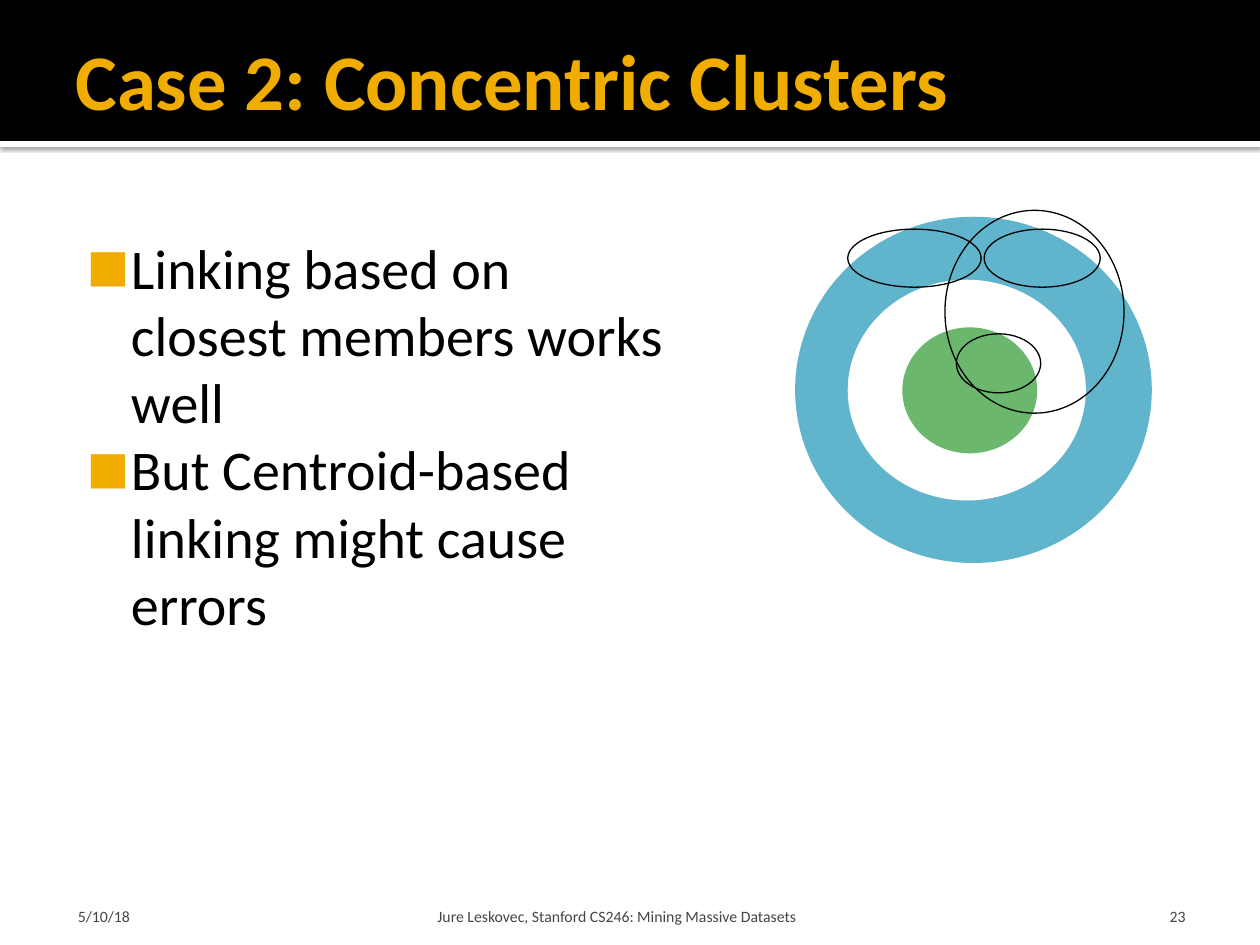
from dataclasses import dataclass

from lxml.etree import SubElement
from pptx import Presentation
from pptx.dml.color import RGBColor as RGB
from pptx.enum.shapes import MSO_SHAPE as SHAPE
from pptx.enum.text import MSO_ANCHOR as ANCHOR, MSO_AUTO_SIZE as AUTO, PP_ALIGN as ALIGN
from pptx.oxml.ns import qn
from pptx.util import Cm, Pt


@dataclass(frozen=True)
class Theme:
    font: str = "Calibri"
    black: str = "000000"
    white: str = "FFFFFF"
    accent: str = "F0AD00"
    outer: str = "60B5CC"
    inner: str = "6BB76D"
    muted: str = "454545"
    title_size: int = 45
    body_size: int = 32
    footer_size: int = 9


def add_node(parent, tag, **attrs):
    return SubElement(parent, qn(tag), {k: str(v) for k, v in attrs.items()})


def write(p, text, *, size, color, font, bold=False, align=ALIGN.LEFT):
    r = p.add_run()
    r.text = text
    r.font.name, r.font.size, r.font.bold = font, Pt(size), bold
    r.font.color.rgb = RGB.from_string(color)
    p.alignment = align
    p.space_before = Pt(0)


def set_frame(sp, box, insets, anchor):
    """Place a text shape and set its inner margins; lengths in centimetres."""
    sp.left, sp.top, sp.width, sp.height = map(Cm, box)
    tf = sp.text_frame
    tf.word_wrap, tf.auto_size, tf.vertical_anchor = True, AUTO.NONE, anchor
    tf.margin_left, tf.margin_top, tf.margin_right, tf.margin_bottom = map(Cm, insets)
    return tf


class SlideBuilder:
    def __init__(self, prs, theme):
        self.t = theme
        self.s = prs.slides.add_slide(prs.slide_layouts[1])

    def shape(self, kind, box, fill=None, line=None, shapes=None):
        sp = (shapes or self.s.shapes).add_shape(kind, *map(Cm, box))
        sp.shadow.inherit = False
        if fill:
            sp.fill.solid()
            sp.fill.fore_color.rgb = RGB.from_string(fill)
        else:
            sp.fill.background()
        if line:
            sp.line.color.rgb = RGB.from_string(line)
            sp.line.width = Pt(0.75)
        else:
            sp.line.fill.background()
        return sp

    def header(self):
        """Black band with a shadowed white rule, both behind the placeholders."""
        band = self.shape(SHAPE.RECTANGLE, (0, 0, 25.4, 2.84), self.t.black)
        rule = self.shape(SHAPE.RECTANGLE, (0, 2.84, 25.4, 0.13), self.t.white)
        effects = rule._element.spPr.find(qn("a:effectLst"))
        shadow = add_node(effects, "a:outerShdw", blurRad=Pt(2.5), dist=Pt(0.8),
                          dir=5400000, algn="t", rotWithShape=0)
        color = add_node(shadow, "a:srgbClr", val=self.t.black)
        add_node(color, "a:alpha", val=60000)
        for sp in (band, rule):
            self.s.shapes._spTree.insert(2, sp._element)

    def title(self, text):
        tf = set_frame(self.s.shapes.title, (1.27, 0, 22.86, 3.18),
                       (0.25, 0.13, 0.13, 0.13), ANCHOR.MIDDLE)
        write(tf.paragraphs[0], text, size=self.t.title_size, color=self.t.accent,
              font=self.t.font, bold=True)

    def bullets(self, items):
        tf = set_frame(self.s.placeholders[1], (1.27, 4.45, 12.62, 12.57),
                       (0.15, 0.25, 0.23, 0.13), ANCHOR.TOP)
        for i, text in enumerate(items):
            p = tf.add_paragraph() if i else tf.paragraphs[0]
            write(p, text, size=self.t.body_size, color=self.t.black, font=self.t.font)
            pPr = p._p.get_or_add_pPr()
            pPr.set("marL", str(Cm(1.22)))
            pPr.set("indent", str(Cm(-0.89)))
            add_node(add_node(pPr, "a:buClr"), "a:srgbClr", val=self.t.accent)
            add_node(pPr, "a:buSzPct", val=80000)
            add_node(pPr, "a:buFont", typeface=self.t.font)
            add_node(pPr, "a:buChar", char="■")

    def footer(self, text, left, width, insets, align=ALIGN.LEFT):
        box = (left, 17.35, width, 1.32)
        sp = self.s.shapes.add_textbox(*map(Cm, box))
        tf = set_frame(sp, box, insets, ANCHOR.BOTTOM)
        write(tf.paragraphs[0], text, size=self.t.footer_size, color=self.t.muted,
              font=self.t.font, align=align)

    def clusters(self):
        """Ring around a core, with outlines of the candidate clusters."""
        group = self.s.shapes.add_group_shape().shapes
        for box, fill in (
            ((16.03, 4.37, 7.19, 6.98), self.t.outer),
            ((17.09, 5.64, 4.8, 4.45), self.t.white),
            ((18.19, 6.6, 2.72, 2.54), self.t.inner),
        ):
            self.shape(SHAPE.OVAL, box, fill, shapes=group)
        for box in (
            (17.09, 4.62, 2.69, 1.17),
            (19.84, 4.62, 2.34, 1.17),
            (19.28, 6.73, 1.7, 1.19),
        ):
            self.shape(SHAPE.OVAL, box, line=self.t.black, shapes=group)
        self.shape(SHAPE.OVAL, (19.05, 4.24, 3.61, 4.09), line=self.t.black)


def main():
    prs = Presentation()
    prs.slide_width, prs.slide_height = Cm(25.4), Cm(19.05)
    b = SlideBuilder(prs, Theme())
    b.header()
    b.title("Case 2: Concentric Clusters")
    b.bullets(["Linking based on closest members works well",
               "But Centroid-based linking might cause errors"])
    b.footer("23", 18.21, 5.92, (0.23, 0.13, 0.23, 0), ALIGN.RIGHT)
    b.clusters()
    b.footer("5/10/18", 1.27, 5.92, (0.3, 0.13, 0.13, 0))
    b.footer("Jure Leskovec, Stanford CS246: Mining Massive Datasets",
             8.69, 8.05, (0.13, 0.13, 0.13, 0))
    prs.save("out.pptx")


if __name__ == "__main__":
    main()
